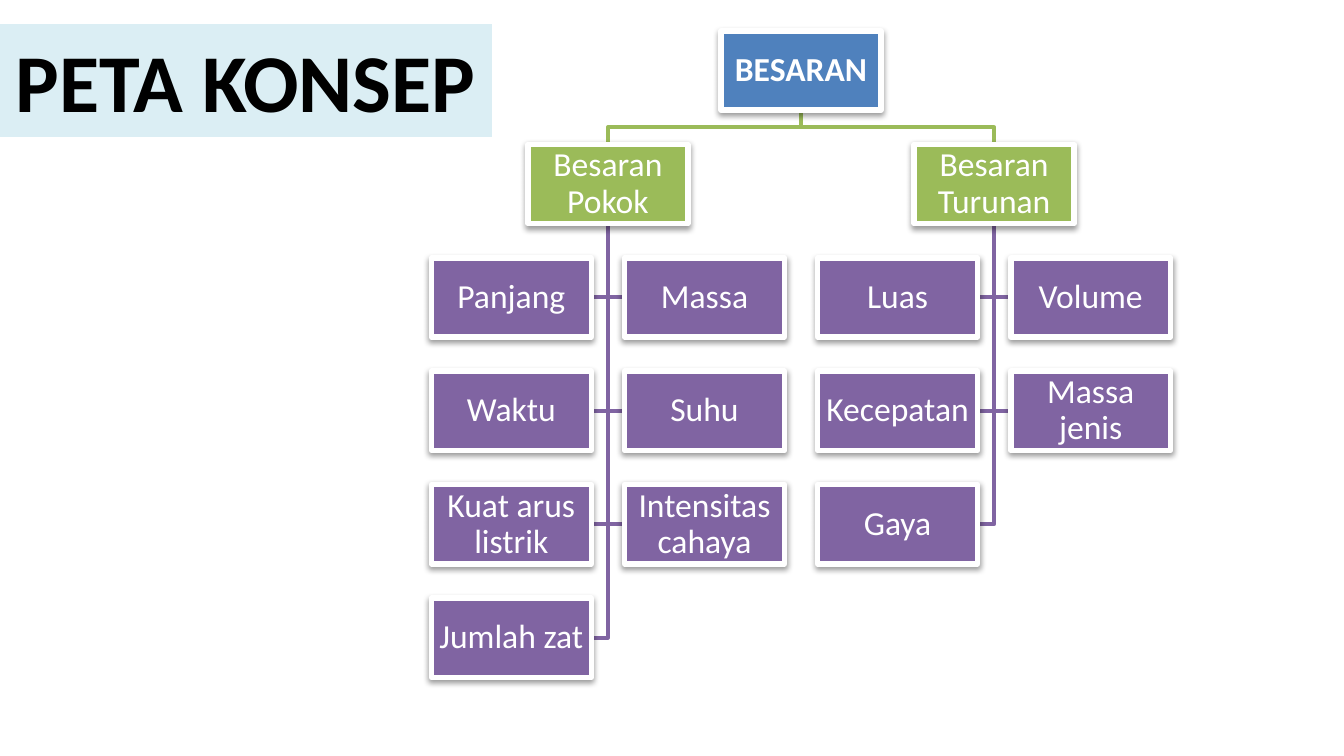
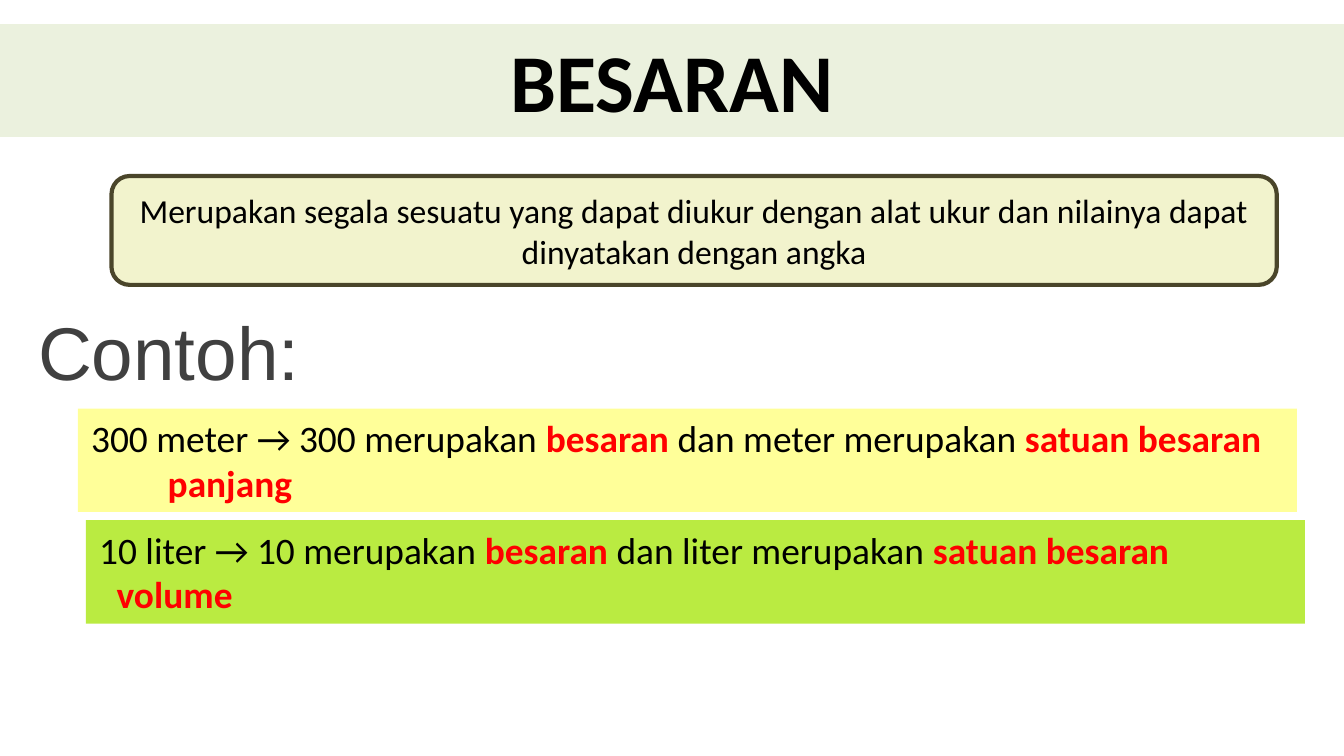
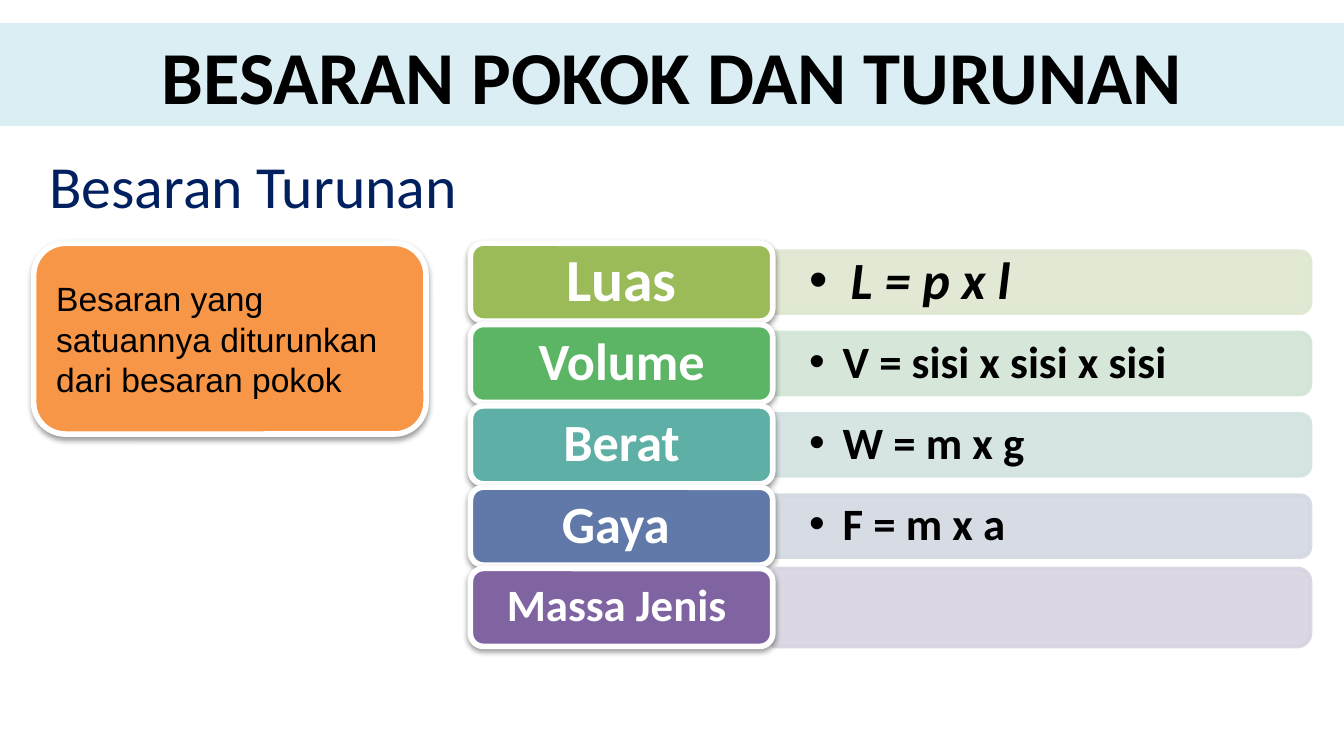
from dataclasses import dataclass

from lxml import etree
from pptx import Presentation
from pptx.dml.color import RGBColor
from pptx.enum import shapes, text
from pptx.oxml import ns
from pptx.shapes.autoshape import Shape
from pptx.slide import Slide
from pptx.util import Inches, Pt

WHITE = RGBColor(0xFF, 0xFF, 0xFF)
BLACK = RGBColor(0x00, 0x00, 0x00)
RED = RGBColor(0xFF, 0x00, 0x00)
BLUE = RGBColor(0x4F, 0x81, 0xBD)
GREEN = RGBColor(0x9B, 0xBB, 0x59)
PURPLE = RGBColor(0x80, 0x64, 0xA2)
ORANGE = RGBColor(0xF7, 0x96, 0x46)
NAVY = RGBColor(0x00, 0x20, 0x60)
GREY = RGBColor(0x40, 0x40, 0x40)
PALE_BLUE = RGBColor(0xDB, 0xEE, 0xF4)
PALE_GREEN = RGBColor(0xEB, 0xF1, 0xDE)
CREAM = RGBColor(0xF2, 0xF3, 0xCD)
DARK_OLIVE = RGBColor(0x4A, 0x45, 0x2A)
YELLOW = RGBColor(0xFF, 0xFF, 0x99)
LIME = RGBColor(0xBA, 0xEB, 0x41)

RECTANGLE = shapes.MSO_SHAPE.RECTANGLE
ROUNDED = shapes.MSO_SHAPE.ROUNDED_RECTANGLE
LEFT = text.PP_ALIGN.LEFT
CENTER = text.PP_ALIGN.CENTER
TOP = text.MSO_ANCHOR.TOP
MIDDLE = text.MSO_ANCHOR.MIDDLE


@dataclass(frozen=True)
class Box:
    left: float
    top: float
    width: float
    height: float

    def lengths(self) -> tuple:
        return tuple(Inches(n) for n in (self.left, self.top, self.width, self.height))


@dataclass(frozen=True)
class TextStyle:
    size: float
    color: RGBColor = BLACK
    bold: bool = False
    italic: bool = False
    font: str = "Calibri"
    align: text.PP_ALIGN = CENTER
    anchor: text.MSO_ANCHOR = MIDDLE
    line_spacing: float = 1.0
    inset_x: float = 0.1
    inset_y: float = 0.05
    wrap: bool = True


def format_run(run, style: TextStyle, color: RGBColor, bold: bool) -> None:
    run.font.name = style.font
    run.font.size = Pt(style.size)
    run.font.color.rgb = color
    run.font.bold = bold
    run.font.italic = style.italic


def write(shape: Shape, content: str, style: TextStyle) -> None:
    frame = shape.text_frame
    frame.text = content
    frame.word_wrap = style.wrap
    frame.vertical_anchor = style.anchor
    frame.margin_left = frame.margin_right = Inches(style.inset_x)
    frame.margin_top = frame.margin_bottom = Inches(style.inset_y)
    paragraph = frame.paragraphs[0]
    paragraph.alignment = style.align
    paragraph.line_spacing = style.line_spacing
    for run in paragraph.runs:
        format_run(run, style, style.color, style.bold)


def set_indent(shape: Shape, hanging: float, bullet: str = "") -> None:
    """Hang the first line back by the given inches, with an optional bullet."""
    properties = shape.text_frame.paragraphs[0]._p.get_or_add_pPr()
    properties.set("marL", str(Inches(hanging)))
    properties.set("indent", str(-Inches(hanging)))
    if bullet:
        font = etree.SubElement(properties, ns.qn("a:buFont"))
        font.set("typeface", "Arial")
        etree.SubElement(properties, ns.qn("a:buChar")).set("char", bullet)


def add_box(slide: Slide, kind: shapes.MSO_SHAPE, box: Box, fill: RGBColor,
            line: RGBColor | None = None, line_width: float = 0) -> Shape:
    shape = slide.shapes.add_shape(kind, *box.lengths())
    shape.shadow.inherit = False
    shape.fill.solid()
    shape.fill.fore_color.rgb = fill
    if line is None:
        shape.line.fill.background()
    else:
        shape.line.color.rgb = line
        shape.line.width = Pt(line_width)
    return shape


def add_raised_box(slide: Slide, kind: shapes.MSO_SHAPE, box: Box, fill: RGBColor) -> Shape:
    """Add a box with a white rim and a soft shadow below it."""
    shape = add_box(slide, kind, box, fill, WHITE, 3)
    effects = shape._element.spPr.find(ns.qn("a:effectLst"))
    shadow = etree.SubElement(effects, ns.qn("a:outerShdw"), blurRad=str(Pt(3.1)),
                              dist=str(Pt(1.6)), dir="5400000", rotWithShape="0")
    color = etree.SubElement(shadow, ns.qn("a:srgbClr"), val="000000")
    etree.SubElement(color, ns.qn("a:alpha"), val="38000")
    return shape


def add_label(slide: Slide, box: Box, content: str, style: TextStyle) -> Shape:
    label = slide.shapes.add_textbox(*box.lengths())
    write(label, content, style)
    return label


def add_title(slide: Slide, content: str, box: Box, fill: RGBColor, size: float = 44) -> None:
    band = add_box(slide, RECTANGLE, box, fill)
    write(band, content, TextStyle(size, bold=True, anchor=TOP, wrap=False))


# Concept map: nodes sit on a grid of columns and rows.
NODE_WIDTH, NODE_HEIGHT = 1.19, 0.59
TREE_LEFT, TREE_TOP = 3.21, 0.23
COLUMN_STEP = (7.52 - TREE_LEFT) / 3
ROW_STEP = (4.45 - TREE_TOP) / 5


@dataclass(frozen=True)
class Branch:
    name: str
    column: float
    leaves: tuple[str, ...]


ROOT_COLUMN = 1.5
BRANCHES = (
    Branch("Besaran Pokok", 0.5, ("Panjang", "Massa", "Waktu", "Suhu", "Kuat arus listrik",
                                  "Intensitas cahaya", "Jumlah zat")),
    Branch("Besaran Turunan", 2.5, ("Luas", "Volume", "Kecepatan", "Massa jenis", "Gaya")),
)


def node_box(column: float, row: int) -> Box:
    return Box(TREE_LEFT + column * COLUMN_STEP, TREE_TOP + row * ROW_STEP,
               NODE_WIDTH, NODE_HEIGHT)


def leaf_cell(branch: Branch, index: int) -> tuple[float, int]:
    return branch.column - 0.5 + index % 2, 2 + index // 2


def add_node(slide: Slide, content: str, column: float, row: int, fill: RGBColor,
             bold: bool = False) -> None:
    node = add_raised_box(slide, RECTANGLE, node_box(column, row), fill)
    write(node, content, TextStyle(18, WHITE, bold, line_spacing=0.9,
                                   inset_x=0.01, inset_y=0.01))


def add_link(slide: Slide, points: list[tuple[float, float]], color: RGBColor) -> None:
    start, *others = [(Inches(x), Inches(y)) for x, y in points]
    builder = slide.shapes.build_freeform(*start)
    builder.add_line_segments(others, close=False)
    link = builder.convert_to_shape()
    link.shadow.inherit = False
    link.fill.background()
    link.line.color.rgb = color
    link.line.width = Pt(2)


def link_branch(slide: Slide, branch: Branch) -> None:
    root, head = node_box(ROOT_COLUMN, 0), node_box(branch.column, 1)
    root_x, spine = root.left + NODE_WIDTH / 2, head.left + NODE_WIDTH / 2
    root_bottom = root.top + NODE_HEIGHT
    middle = (root_bottom + head.top) / 2
    add_link(slide, [(root_x, root_bottom), (root_x, middle), (spine, middle),
                     (spine, head.top)], GREEN)
    for index in range(len(branch.leaves)):
        leaf = node_box(*leaf_cell(branch, index))
        side = leaf.left if index % 2 else leaf.left + NODE_WIDTH
        level = leaf.top + NODE_HEIGHT / 2
        add_link(slide, [(spine, head.top + NODE_HEIGHT), (spine, level), (side, level)], PURPLE)


def build_concept_map(slide: Slide) -> None:
    for branch in BRANCHES:
        link_branch(slide, branch)
    add_node(slide, "BESARAN", ROOT_COLUMN, 0, BLUE, bold=True)
    for branch in BRANCHES:
        add_node(slide, branch.name, branch.column, 1, GREEN)
        for index, leaf in enumerate(branch.leaves):
            add_node(slide, leaf, *leaf_cell(branch, index), PURPLE)
    add_title(slide, "PETA KONSEP", Box(0, 0.18, 3.66, 0.84), PALE_BLUE)


@dataclass(frozen=True)
class Example:
    box: Box
    fill: RGBColor
    amount: str
    unit: str
    quantity: str
    hanging: float


EXAMPLES = (
    Example(Box(0.58, 3.04, 9.07, 0.77), YELLOW, "300", "meter", "panjang", 0.57),
    Example(Box(0.64, 3.87, 9.07, 0.77), LIME, "10", "liter", "volume", 0.13),
)


def add_example(slide: Slide, example: Example) -> None:
    shape = add_box(slide, RECTANGLE, example.box, example.fill)
    style = TextStyle(20, align=LEFT, anchor=TOP)
    write(shape, f"{example.amount} {example.unit} → {example.amount} merupakan ", style)
    shape.text_frame.margin_right = Inches(0.2)
    set_indent(shape, example.hanging)
    for content, key_term in (("besaran ", True),
                              (f"dan {example.unit} merupakan ", False),
                              (f"satuan besaran {example.quantity}", True)):
        run = shape.text_frame.paragraphs[0].add_run()
        run.text = content
        format_run(run, style, RED if key_term else BLACK, key_term)


def build_definition(slide: Slide) -> None:
    add_title(slide, "BESARAN", Box(0, 0.18, 10, 0.84), PALE_GREEN)
    definition = add_box(slide, ROUNDED, Box(0.83, 1.31, 8.67, 0.81), CREAM, DARK_OLIVE, 2.25)
    write(definition, "Merupakan segala sesuatu yang dapat diukur dengan alat ukur dan "
                      "nilainya dapat dinyatakan dengan angka", TextStyle(18))
    add_label(slide, Box(0.17, 2.23, 2.17, 0.77), "Contoh:",
              TextStyle(40, GREY, font="Arial", anchor=TOP, wrap=False))
    for example in EXAMPLES:
        add_example(slide, example)


@dataclass(frozen=True)
class Formula:
    name: str
    name_size: float
    fill: RGBColor
    bar_fill: RGBColor
    bar_height: float = 0.46
    expression: str = ""
    size: float = 24
    italic: bool = False
    hanging: float = 0.25


FORMULAS = (
    Formula("Luas", 32, GREEN, RGBColor(0xDE, 0xE7, 0xD1), expression="L = p x l",
            size=28, italic=True, hanging=0.31),
    Formula("Volume", 28, RGBColor(0x5C, 0xB5, 0x65), RGBColor(0xD2, 0xE5, 0xD5),
            expression="V = sisi x sisi x sisi"),
    Formula("Berat", 28, RGBColor(0x5E, 0xAF, 0xA6), RGBColor(0xD2, 0xE3, 0xE2),
            expression="W = m x g"),
    Formula("Gaya ", 28, RGBColor(0x61, 0x79, 0xA8), RGBColor(0xD3, 0xD8, 0xE2),
            expression="F = m x a"),
    Formula("Massa Jenis ", 24, PURPLE, RGBColor(0xD8, 0xD3, 0xE0), bar_height=0.58),
)
TILE_LEFT, TILE_TOP, TILE_WIDTH, TILE_HEIGHT = 3.5, 1.81, 2.25, 0.58
TILE_STEP = (4.23 - TILE_TOP) / 4
BAR_LENGTH = 4


def add_formula(slide: Slide, formula: Formula, top: float) -> None:
    bar_left = TILE_LEFT + TILE_WIDTH
    center_x, center_y = bar_left + BAR_LENGTH / 2, top + TILE_HEIGHT / 2
    upright = Box(center_x - formula.bar_height / 2, center_y - BAR_LENGTH / 2,
                  formula.bar_height, BAR_LENGTH)
    bar = add_box(slide, shapes.MSO_SHAPE.ROUND_2_SAME_RECTANGLE, upright,
                  formula.bar_fill, formula.bar_fill, 2)
    bar.rotation = 90
    for color in bar._element.spPr.iter(ns.qn("a:srgbClr")):
        etree.SubElement(color, ns.qn("a:alpha"), val="90000")
    if formula.expression:
        label = add_label(slide, Box(bar_left, center_y - 0.21, 3.98, 0.42), formula.expression,
                          TextStyle(formula.size, bold=True, italic=formula.italic, align=LEFT,
                                    line_spacing=0.9, inset_x=0.27, inset_y=0.14))
        set_indent(label, formula.hanging, "•")
    tile = add_raised_box(slide, ROUNDED, Box(TILE_LEFT, top, TILE_WIDTH, TILE_HEIGHT),
                          formula.fill)
    write(tile, formula.name, TextStyle(formula.name_size, WHITE, True, line_spacing=0.9))


def build_derived_quantities(slide: Slide) -> None:
    add_label(slide, Box(0.25, 1.06, 3.27, 0.64), "Besaran Turunan",
              TextStyle(32, NAVY, anchor=TOP, wrap=False))
    meaning = add_raised_box(slide, ROUNDED, Box(0.25, 1.81, 2.92, 1.42), ORANGE)
    write(meaning, "Besaran yang satuannya diturunkan dari besaran pokok",
          TextStyle(18, font="Arial", align=LEFT))
    for row, formula in enumerate(FORMULAS):
        add_formula(slide, formula, TILE_TOP + row * TILE_STEP)
    add_title(slide, "BESARAN POKOK DAN TURUNAN", Box(0, 0.17, 10, 0.77), PALE_BLUE, 40)


def main() -> None:
    presentation = Presentation()
    presentation.slide_width = Inches(10)
    presentation.slide_height = Inches(10 * 9 / 16)
    blank = presentation.slide_layouts[6]
    for build in (build_concept_map, build_definition, build_derived_quantities):
        build(presentation.slides.add_slide(blank))
    presentation.save("out.pptx")


if __name__ == "__main__":
    main()
